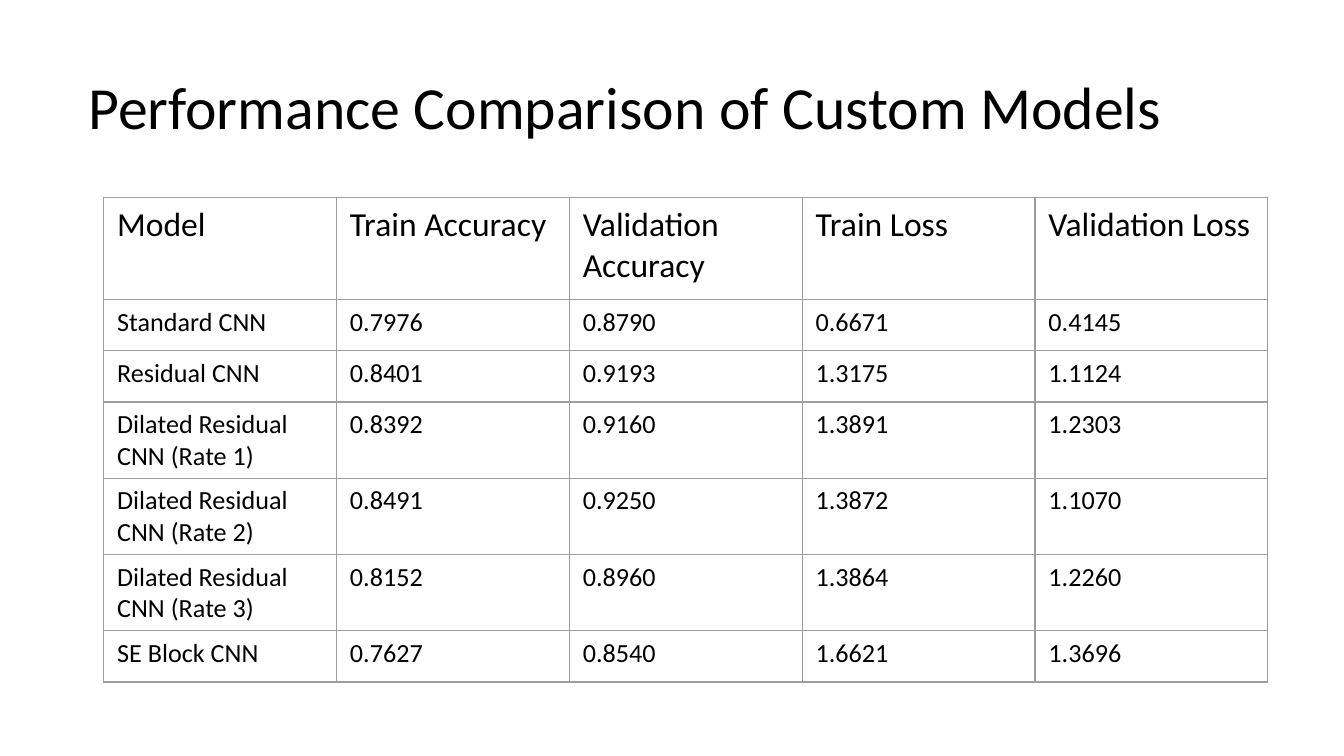
"""Build a slide with a table comparing the performance of custom CNN models."""
from dataclasses import dataclass

from lxml import etree
from pptx import Presentation
from pptx.dml.color import RGBColor
from pptx.enum.text import MSO_AUTO_SIZE
from pptx.oxml.ns import qn
from pptx.util import Cm, Pt

FIT_SHAPE = MSO_AUTO_SIZE.SHAPE_TO_FIT_TEXT


@dataclass(frozen=True)
class Theme:
    font: str = "Calibri"
    text: str = "000000"
    border: str = "9E9E9E"
    border_width: float = 0.75
    title_size: int = 32
    header_size: int = 18
    body_size: int = 14


THEME = Theme()
RESULTS = [
    ("Model", "Train Accuracy", "Validation Accuracy", "Train Loss", "Validation Loss"),
    ("Standard CNN", "0.7976", "0.8790", "0.6671", "0.4145"),
    ("Residual CNN", "0.8401", "0.9193", "1.3175", "1.1124"),
    ("Dilated Residual CNN (Rate 1)", "0.8392", "0.9160", "1.3891", "1.2303"),
    ("Dilated Residual CNN (Rate 2)", "0.8491", "0.9250", "1.3872", "1.1070"),
    ("Dilated Residual CNN (Rate 3)", "0.8152", "0.8960", "1.3864", "1.2260"),
    ("SE Block CNN", "0.7627", "0.8540", "1.6621", "1.3696"),
]
ROW_HEIGHTS = [1.93, 0.97, 0.97, 1.44, 1.44, 1.44, 0.97]
COLUMN_WIDTH = 4.4


def write_text(frame, text, size):
    span = frame.paragraphs[0].add_run()
    span.text = text
    span.font.color.rgb = RGBColor.from_string(THEME.text)
    for name, value in {"name": THEME.font, "size": Pt(size)}.items():
        setattr(span.font, name, value)


def draw_borders(cell):
    properties = cell._tc.get_or_add_tcPr()
    for index, side in enumerate(("lnL", "lnR", "lnT", "lnB")):
        line = etree.Element(qn(f"a:{side}"), w=str(Pt(THEME.border_width)))
        fill = etree.SubElement(line, qn("a:solidFill"))
        etree.SubElement(fill, qn("a:srgbClr"), val=THEME.border)
        properties.insert(index, line)


deck = Presentation()
deck.slide_width, deck.slide_height = Cm(25.4), Cm(14.29)
page = deck.slides.add_slide(deck.slide_layouts[6])

title = page.shapes.add_textbox(Cm(1.42), Cm(1.19), Cm(22.58), Cm(1.63)).text_frame
for name, value in {"word_wrap": True, "auto_size": FIT_SHAPE}.items():
    setattr(title, name, value)
write_text(title, "Performance Comparison of Custom Models", THEME.title_size)

column_count = len(RESULTS[0])
table = page.shapes.add_table(
    len(RESULTS), column_count, Cm(1.96), Cm(3.73),
    Cm(COLUMN_WIDTH * column_count), Cm(sum(ROW_HEIGHTS)),
).table
for name, value in {"first_row": False, "horz_banding": False}.items():
    setattr(table, name, value)
for column in table.columns:
    column.width = Cm(COLUMN_WIDTH)

for row, height, values in zip(table.rows, ROW_HEIGHTS, RESULTS):
    row.height = Cm(height)
    size = THEME.header_size if values is RESULTS[0] else THEME.body_size
    for cell, value in zip(row.cells, values):
        cell.fill.background()
        draw_borders(cell)
        write_text(cell.text_frame, value, size)

deck.save("out.pptx")
